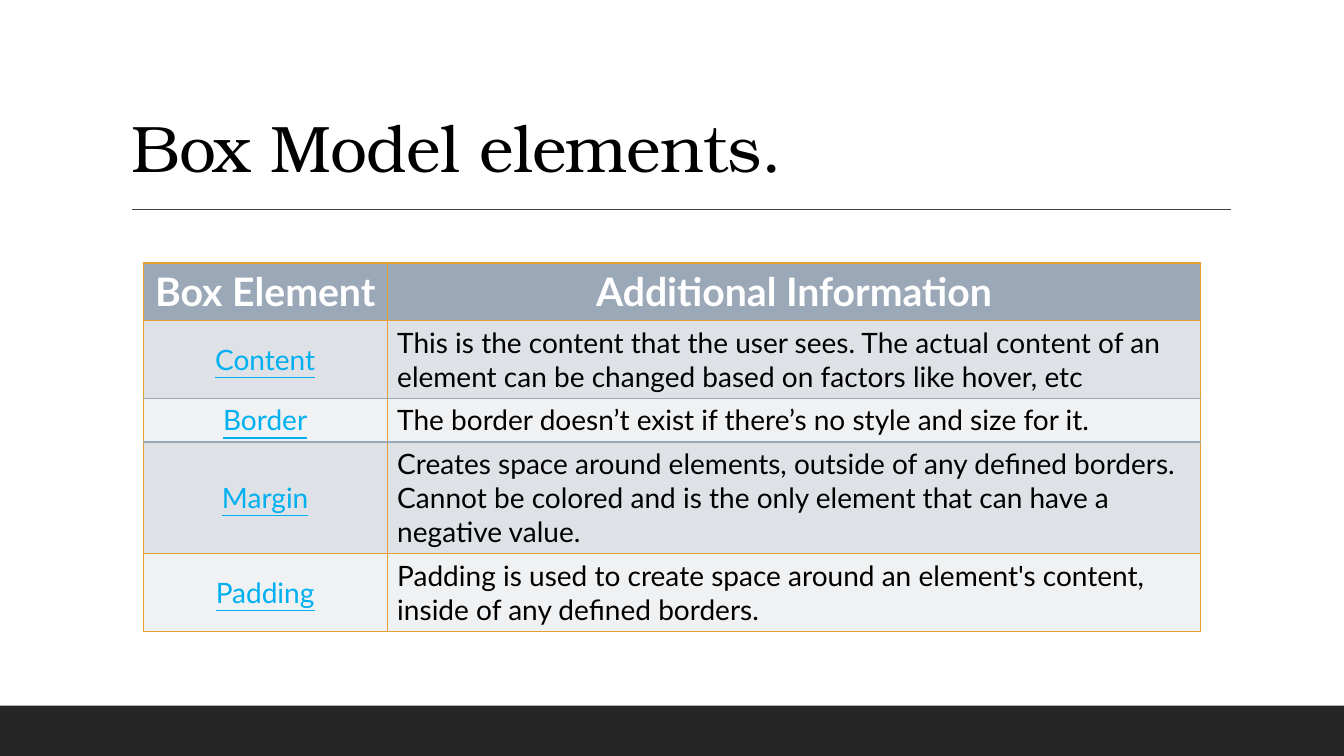
from lxml import etree
from pptx import Presentation
from pptx.dml.color import RGBColor
from pptx.enum.shapes import MSO_CONNECTOR, MSO_SHAPE
from pptx.enum.text import MSO_ANCHOR, MSO_AUTO_SIZE, PP_ALIGN
from pptx.oxml.ns import qn
from pptx.util import Inches, Pt

LINE, RECT = MSO_CONNECTOR.STRAIGHT, MSO_SHAPE.RECTANGLE
LEFT, CENTER = PP_ALIGN.LEFT, PP_ALIGN.CENTER
MIDDLE, BOTTOM = MSO_ANCHOR.MIDDLE, MSO_ANCHOR.BOTTOM

BLACK = RGBColor(0x00, 0x00, 0x00)
WHITE = RGBColor(0xFF, 0xFF, 0xFF)
DARK = RGBColor(0x26, 0x26, 0x26)
GRAY = RGBColor(0x40, 0x40, 0x40)
SLATE = RGBColor(0x9B, 0xA8, 0xB7)
BANDS = [RGBColor(0xEF, 0xF1, 0xF3), RGBColor(0xDE, 0xE1, 0xE6)]
ORANGE = RGBColor(0xE6, 0xA0, 0x2E)
BLUE = RGBColor(0x00, 0xB0, 0xF0)

ROWS = [
    ("Box Element", "Additional Information"),
    ("Content", "This is the content that the user sees. The actual content of an "
                "element can be changed based on factors like hover, etc"),
    ("Border", "The border doesn’t exist if there’s no style and size for it."),
    ("Margin", "Creates space around elements, outside of any defined borders. "
               "Cannot be colored and is the only element that can have a negative value."),
    ("Padding", "Padding is used to create space around an element's content, "
                "inside of any defined borders."),
]
WIDTHS = [2.42, 8.07]
HEIGHTS = [0.57, 0.77, 0.43, 1.1, 0.77]
THIN = {1, 2}  # rows that end in a slate line


def add_edge(cell, side, color):
    edge = etree.SubElement(cell._tc.get_or_add_tcPr(), qn("a:ln" + side), w=str(Pt(1)))
    fill = etree.SubElement(edge, qn("a:solidFill"))
    etree.SubElement(fill, qn("a:srgbClr"), val=str(color))


prs = Presentation()
prs.slide_width, prs.slide_height = Inches(13.33), Inches(7.5)
slide = prs.slides.add_slide(prs.slide_layouts[5])
shapes = slide.shapes

# Footer band and title rule
band = shapes.add_shape(RECT, 0, Inches(7), Inches(13.33), Inches(0.5))
band.shadow.inherit = False
band.fill.solid()
band.fill.fore_color.rgb = DARK
band.line.fill.background()

rule = shapes.add_connector(LINE, Inches(1.31), Inches(2.08), Inches(12.21), Inches(2.08))
rule.line.color.rgb = GRAY
rule.line.width = Pt(1)
etree.SubElement(rule._element.spPr, qn("a:effectLst"))

# Title
title = shapes.title
title.left, title.top = Inches(1.2), Inches(0.31)
title.width, title.height = Inches(11), Inches(1.59)
frame = title.text_frame
frame.text = "Box Model elements."
frame.auto_size = MSO_AUTO_SIZE.NONE
frame.vertical_anchor = BOTTOM
para = frame.paragraphs[0]
para.alignment = LEFT
para.line_spacing = 0.9
para.font.name = "TeX Gyre Bonum"
para.font.size = Pt(47)
para.font.color.rgb = BLACK
para.runs[0]._r.get_or_add_rPr().set("spc", "-50")

# Table
table = shapes.add_table(len(ROWS), len(WIDTHS), Inches(1.42), Inches(2.61),
                         Inches(sum(WIDTHS)), Inches(sum(HEIGHTS))).table
for col, width in zip(table.columns, WIDTHS):
    col.width = Inches(width)
for i, (texts, height) in enumerate(zip(ROWS, HEIGHTS)):
    table.rows[i].height = Inches(height)
    head = i == 0
    for j, text in enumerate(texts):
        cell = table.cell(i, j)
        add_edge(cell, "L", ORANGE)
        add_edge(cell, "R", ORANGE)
        add_edge(cell, "T", SLATE if i - 1 in THIN else ORANGE)
        add_edge(cell, "B", SLATE if i in THIN else ORANGE)
        cell.fill.solid()
        cell.fill.fore_color.rgb = SLATE if head else BANDS[i % 2]
        cell.vertical_anchor = MIDDLE
        cell.text = text
        para = cell.text_frame.paragraphs[0]
        para.alignment = CENTER if head or j == 0 else LEFT
        font = para.font
        font.name = "Lato"
        font.size = Pt(28 if head else 20)
        font.bold = head
        font.underline = not head and j == 0
        font.color.rgb = WHITE if head else BLUE if j == 0 else BLACK

prs.save("out.pptx")
